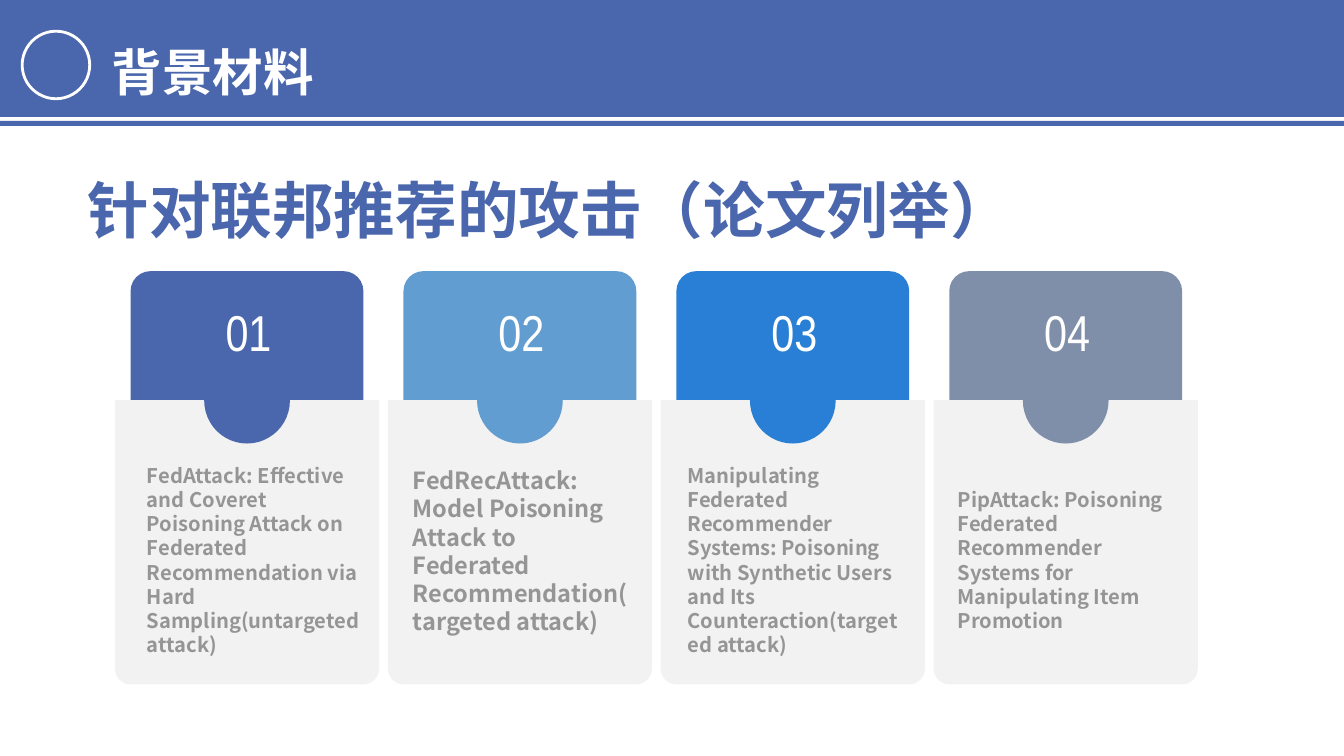
from lxml import etree
from pptx import Presentation
from pptx.dml.color import RGBColor
from pptx.enum.shapes import MSO_SHAPE as SHAPE
from pptx.enum.text import MSO_ANCHOR as ANCHOR, PP_ALIGN as ALIGN
from pptx.oxml.ns import qn
from pptx.util import Inches, Pt

COLORS = {
    "navy": "4A66AC", "sky": "629DD1", "blue": "297FD5", "slate": "7F8FA9",
    "panel": "F2F2F2", "gray": "959595", "white": "FFFFFF",
}
CJK_FONT = "Noto Sans CJK SC"
NUMBER_FONT = "Arial Narrow"
CARD_LEFT, CARD_TOP, CARD_WIDTH, CARD_HEIGHT = 1.14, 2.69, 2.62, 4.1
LAST_CARD_LEFT = 9.26

# colour, text offset from the card's left, text height, text size, paragraphs
PAPERS = [
    ("navy", 0.22, 2.07, 14.4, [
        "FedAttack: Effective and Coveret Poisoning Attack on Federated",
        "Recommendation via Hard Sampling(untargeted attack)"]),
    ("sky", 0.15, 1.89, 16.8, [
        "FedRecAttack: Model Poisoning",
        "Attack to Federated",
        "Recommendation(targeted attack)"]),
    ("blue", 0.17, 2.07, 14.4, [
        "Manipulating Federated",
        "Recommender Systems: Poisoning",
        "with Synthetic Users and Its",
        "Counteraction(targeted attack)"]),
    ("slate", 0.14, 2.07, 14.4, [
        "PipAttack: Poisoning Federated Recommender Systems for "
        "Manipulating Item Promotion"]),
]


def rgb(name):
    return RGBColor.from_string(COLORS[name])


def add_block(slide, kind, box, color):
    sp = slide.shapes.add_shape(kind, *map(Inches, box))
    sp.shadow.inherit = False
    sp.fill.solid()
    sp.fill.fore_color.rgb = rgb(color)
    sp.line.fill.background()
    return sp


def write(tf, lines, size, color, font=CJK_FONT, bold=True, align=ALIGN.LEFT):
    """Fill a text frame with one uniformly formatted paragraph per line."""
    tf.text = "\n".join(lines)
    for p in tf.paragraphs:
        p.alignment = align
        p.font.size, p.font.bold, p.font.name = Pt(size), bold, font
        p.font.color.rgb = rgb(color)
        props = p._p.get_or_add_pPr().get_or_add_defRPr()
        etree.SubElement(props, qn("a:ea"), typeface=font)


def add_text(slide, box, lines, size, color, anchor=ANCHOR.TOP, **style):
    tf = slide.shapes.add_textbox(*map(Inches, box)).text_frame
    tf.word_wrap = True
    tf.vertical_anchor = anchor
    write(tf, lines, size, color, **style)
    return tf


def add_header(slide, left, top, width, height):
    """Draw the title band with its underline, ring and slide title."""
    add_block(slide, SHAPE.RECTANGLE, (left, top, width, height), "navy")
    add_block(slide, SHAPE.RECTANGLE, (left, top + height + 0.04, width, 0.05), "navy")
    ring = add_block(slide, SHAPE.OVAL, (left + 0.22, top + 0.31, 0.67, 0.67), "navy")
    ring.line.color.rgb = rgb("white")
    ring.line.width = Pt(2)

    title = slide.shapes.title
    slide.shapes.element.append(title.element)  # in front of the band
    title.left, title.top = Inches(left + 1.01), Inches(top + 0.06)
    title.width, title.height = Inches(6.24), Inches(1.01)
    tf = title.text_frame
    tf.vertical_anchor = ANCHOR.TOP
    write(tf, ["背景材料"], 36, "white")
    tf.paragraphs[0].line_spacing = 1.5
    tf.paragraphs[0].space_before = Pt(0)


def add_card(slide, left, top, width, height, number, paper):
    """Draw a numbered tab above a panel that describes one paper."""
    color, text_dx, text_height, size, lines = paper
    middle = left + width / 2
    panel_top = top + 1.28

    tab = add_block(slide, SHAPE.ROUNDED_RECTANGLE, (middle - 1.155, top, 2.31, 2.13), color)
    tab.adjustments[0] = 0.093
    panel = add_block(slide, SHAPE.ROUND_2_SAME_RECTANGLE,
                      (left, panel_top, width, top + height - panel_top), "panel")
    panel.adjustments[0] = 0
    panel.adjustments[1] = 0.06
    add_block(slide, SHAPE.OVAL, (middle - 0.425, panel_top - 0.42, 0.85, 0.85), color)

    tf = add_text(slide, (middle - 0.62, top + 0.26, 1.27, 0.88), [f"{number:02}"], 36,
                  "white", font=NUMBER_FONT, bold=False, align=ALIGN.CENTER)
    tf.margin_left = tf.margin_right = Inches(0.07)
    tf.margin_top = tf.margin_bottom = Inches(0.04)
    add_text(slide, (left + text_dx, top + 1.83, 2.33, text_height), lines, size,
             "gray", anchor=ANCHOR.MIDDLE)


def main():
    prs = Presentation()
    prs.slide_width, prs.slide_height = Inches(13.33), Inches(7.5)
    slide = prs.slides.add_slide(prs.slide_layouts[5])
    add_header(slide, 0, 0, 13.33, 1.16)
    add_text(slide, (0.77, 1.66, 10.5, 0.71), ["针对联邦推荐的攻击（论文列举）"], 44, "navy")
    pitch = (LAST_CARD_LEFT - CARD_LEFT) / (len(PAPERS) - 1)
    for i, paper in enumerate(PAPERS):
        add_card(slide, CARD_LEFT + i * pitch, CARD_TOP, CARD_WIDTH, CARD_HEIGHT,
                 i + 1, paper)
    prs.save("out.pptx")


if __name__ == "__main__":
    main()
